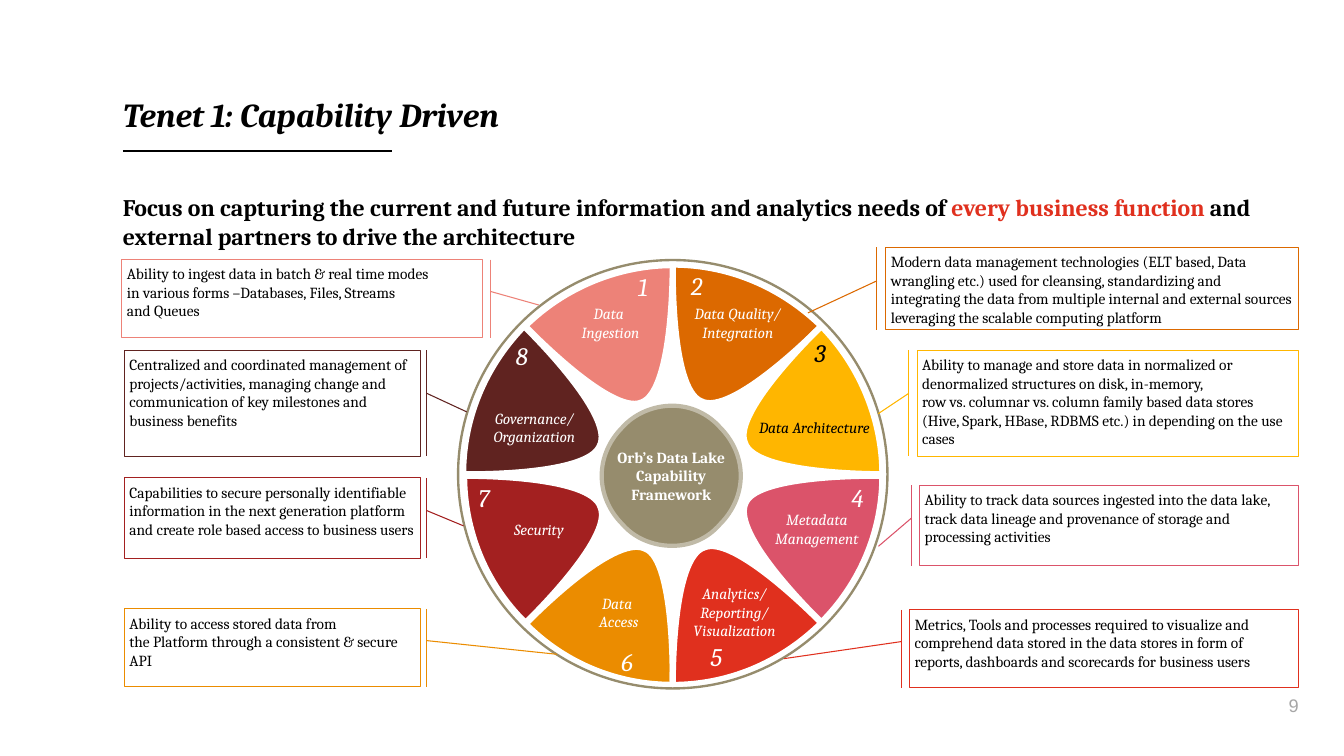
import pptx
import pptx.util
import pptx.dml.color
import pptx.enum.shapes
import pptx.enum.text
import pptx.oxml
import pptx.oxml.xmlchemy

Inches = pptx.util.Inches
Pt = pptx.util.Pt
SHAPE = pptx.enum.shapes.MSO_SHAPE
ALIGN = pptx.enum.text.PP_ALIGN
ANCHOR = pptx.enum.text.MSO_ANCHOR
NO_EFFECT = ('<a:effectLst xmlns:a='
             '"http://schemas.openxmlformats.org/drawingml/2006/main"/>')


def rgb(value):
    return pptx.dml.color.RGBColor.from_string(value)


def write(sp, text, size=22, color="000000", font="Cambria", bold=False,
          italic=False, align=ALIGN.LEFT, anchor=ANCHOR.TOP,
          insets=(0, 0, 0, 0), wrap=True, after=0):
    """Fill a shape with text: a string, or a list of (string, colour)."""
    tf = sp.text_frame
    tf.word_wrap = wrap
    tf.vertical_anchor = anchor
    tf.margin_left, tf.margin_top, tf.margin_right, tf.margin_bottom = map(Inches, insets)
    p = tf.paragraphs[0]
    p.alignment = align
    p.space_after = Pt(after)
    for part, part_color in ([(text, color)] if isinstance(text, str) else text):
        for i, row in enumerate(part.split("\n")):
            if i:
                p.add_line_break()
            r = p.add_run()
            r.text = row
            r.font.name, r.font.size = font, Pt(size)
            r.font.bold, r.font.italic = bold, italic
            r.font.color.rgb = rgb(part_color)


class Deck:
    def __init__(self, width, height):
        self.prs = pptx.Presentation()
        self.prs.slide_width, self.prs.slide_height = Inches(width), Inches(height)
        self.s = self.prs.slides.add_slide(self.prs.slide_layouts[6])

    def paint(self, sp, fill, line, weight):
        sp.shadow.inherit = False
        if fill:
            sp.fill.solid()
            sp.fill.fore_color.rgb = rgb(fill)
        else:
            sp.fill.background()
        sp.line.color.rgb = rgb(line)
        sp.line.width = Pt(weight)
        return sp

    def text(self, box, text, **style):
        write(self.s.shapes.add_textbox(*map(Inches, box)), text, **style)

    def shape(self, kind, box, fill, line, weight):
        sp = self.s.shapes.add_shape(kind, *map(Inches, box))
        return self.paint(sp, fill, line, weight)

    def curve(self, points, fill, line, weight):
        """Closed outline of cubic curves: a start, then three points per curve."""
        pts = [(Inches(x), Inches(y)) for x, y in points]
        builder = self.s.shapes.build_freeform(*pts[0])
        builder.add_line_segments(pts[1:], close=True)
        sp = builder.convert_to_shape()
        segments = sp._element.xpath(".//a:lnTo")
        for n in range(0, len(segments), 3):
            cubic = pptx.oxml.xmlchemy.OxmlElement("a:cubicBezTo")
            segments[n].addprevious(cubic)
            for segment in segments[n:n + 3]:
                cubic.append(segment[0])
                segment.getparent().remove(segment)
        return self.paint(sp, fill, line, weight)

    def callout(self, box, color, tip_y, tip_x, text, flip):
        sp = self.shape(SHAPE.LINE_CALLOUT_1_BORDER_AND_ACCENT_BAR, box, "FFFFFF", color, 1.5)
        for i, value in enumerate((0.407, -0.022, tip_y, tip_x)):
            sp.adjustments[i] = value
        if flip:
            sp._element.spPr.xfrm.set("flipH", "1")
        write(sp, text, insets=(0.1, 0.1, 0.1, 0.05))

    def line(self, x1, y1, x2, y2, color, weight):
        c = self.s.shapes.add_connector(pptx.enum.shapes.MSO_CONNECTOR.STRAIGHT,
                                        *map(Inches, (x1, y1, x2, y2)))
        c.line.color.rgb = rgb(color)
        c.line.width = Pt(weight)
        c._element.spPr.append(pptx.oxml.parse_xml(NO_EFFECT))


HUB = [(14.29, 8.48), (14.05, 8.21), (13.71, 8.05), (13.34, 8.05),
       (12.96, 8.05), (12.59, 8.21), (12.35, 8.48), (12.1, 8.73), (11.94, 9.07), (11.94, 9.44),
       (11.94, 9.81), (12.1, 10.15), (12.35, 10.4), (12.59, 10.68), (12.96, 10.83), (13.34, 10.83),
       (13.71, 10.83), (14.05, 10.68), (14.29, 10.4), (14.54, 10.15), (14.7, 9.81), (14.7, 9.44),
       (14.7, 9.07), (14.54, 8.73), (14.29, 8.48)]

# colour, then start (also first control point), and the rest of three curves
PETALS = [
    ("DC6900", (13.35, 5.25), (13.3, 7.71), (13.91, 7.96), (14.52, 8.29), (16.3, 6.47),
     (16.3, 6.47), (15.53, 5.72), (14.5, 5.25)),
    ("ED8278", (10.42, 6.47), (12.11, 8.24), (12.72, 7.99), (13.37, 7.78), (13.35, 5.26),
     (13.35, 5.26), (12.3, 5.26), (11.22, 5.68)),
    ("602320", (9.19, 9.41), (11.64, 9.46), (11.9, 8.85), (12.23, 8.24), (10.4, 6.47),
     (10.4, 6.47), (9.65, 7.24), (9.19, 8.27)),
    ("A32020", (10.43, 12.36), (12.18, 10.68), (11.92, 10.07), (11.74, 9.41), (9.21, 9.44),
     (9.21, 9.44), (9.21, 10.49), (9.61, 11.56)),
    ("EB8C00", (13.35, 13.59), (13.4, 11.12), (12.81, 10.89), (12.18, 10.56), (10.43, 12.38),
     (10.43, 12.38), (11.17, 13.13), (12.2, 13.59)),
    ("E0301E", (16.3, 12.36), (14.59, 10.6), (13.98, 10.86), (13.32, 11.05), (13.35, 13.59),
     (13.35, 13.59), (14.43, 13.59), (15.48, 13.17)),
    ("DB536A", (17.51, 9.44), (15.06, 9.39), (14.8, 9.97), (14.47, 10.6), (16.3, 12.35),
     (16.3, 12.35), (17.04, 11.61), (17.51, 10.58)),
    ("FFB600", (16.3, 6.47), (14.52, 8.17), (14.78, 8.78), (14.96, 9.43), (17.51, 9.41),
     (17.51, 9.41), (17.51, 8.36), (17.09, 7.28)),
]

# label, label box, left and top of the number
LABELS = [
    ("Data \nIngestion", (10.93, 6.04, 2.37, 0.74), 12.37, 5.29),
    ("Data Quality/\nIntegration", (13.35, 6.04, 2.58, 0.74), 13.44, 5.27),
    ("Data Architecture", (15.01, 8.11, 2.3, 0.74), 15.89, 6.61),
    ("Metadata Management", (15.21, 10.12, 2, 0.74), 16.63, 9.48),
    ("Analytics/\nReporting/\nVisualization", (13.45, 11.59, 2.25, 1.11), 13.83, 12.64),
    ("Data \nAccess", (11.18, 11.78, 2.2, 0.74), 12.06, 12.73),
    ("Security", (9.82, 10.32, 1.75, 0.37), 9.22, 9.48),
    ("Governance/ Organization", (9.52, 8.11, 2.17, 0.74), 9.97, 6.67),
]

# box, colour, pointer tip (y, x), text
CALLOUTS = [
    ((17.58, 4.91, 8.19, 1.63), "DC6900", 0.797, -0.189,
     "Modern data management technologies (ELT based, Data wrangling etc.) used for cleansing, "
     "standardizing and integrating the data from multiple internal and external sources "
     "leveraging the scalable computing platform"),
    ((18.2, 6.95, 7.57, 2.1), "FFB600", 0.599, -0.102,
     "Ability to manage and store data in normalized or denormalized structures on disk, "
     "in-memory, \nrow vs. columnar vs. column family based data stores (Hive, Spark, HBase, "
     "RDBMS etc.) in depending on the use cases"),
    ((18.25, 9.63, 7.51, 1.6), "DB536A", 0.756, -0.109,
     "Ability to track data sources ingested into the data lake, track data lineage and "
     "provenance of storage and processing activities"),
    ((18.05, 12.1, 7.72, 1.55), "E0301E", 0.625, -0.323,
     "Metrics, Tools and processes required to visualize and comprehend data stored in the "
     "data stores in form of reports, dashboards and scorecards for business users"),
    ((2.42, 5.15, 7.15, 1.55), "ED8278", 0.582, -0.157,
     "Ability to ingest data in batch & real time modes \nin various forms –Databases, Files, "
     "Streams \nand Queues"),
    ((2.47, 6.95, 5.87, 2.1), "602320", 0.582, -0.157,
     "Centralized and coordinated management of projects/activities, managing change and "
     "communication of key milestones and business benefits"),
    ((2.47, 9.48, 5.87, 1.6), "A32020", 0.596, -0.146,
     "Capabilities to secure personally identifiable information in the next generation "
     "platform and create role based access to business users"),
    ((2.47, 12.08, 5.87, 1.55), "EB8C00", 0.582, -0.462,
     "Ability to access stored data from \nthe Platform through a consistent & secure API"),
]


def main():
    d = Deck(26.67, 15)

    # Page number, title and lead sentence
    d.text((25.32, 13.78, 0.45, 0.44), "9", size=26, font="Arial", color="A6A6A6",
           align=ALIGN.RIGHT, wrap=False)
    d.text((2.44, 1.85, 23.33, 0.81), "Tenet 1: Capability Driven", size=48, bold=True,
           italic=True, anchor=ANCHOR.BOTTOM)
    d.text((2.44, 3.83, 23.33, 1.14), [
        ("Focus on capturing the current and future information and analytics needs of ", "000000"),
        ("every business function", "E0301E"),
        (" and external partners to drive the architecture", "000000")],
        size=34, bold=True, after=6)

    # Wheel: hub, petals and ring
    hub = d.curve(HUB, "968C6D", "C0BAA7", 6)
    write(hub, "Orb’s Data Lake\nCapability\nFramework", color="FFFFFF", bold=True,
          align=ALIGN.CENTER, anchor=ANCHOR.MIDDLE, insets=(0.05, 0.03, 0.05, 0.03))
    for color, start, *rest in PETALS:
        d.curve([start, start, *rest, start], color, "FFFFFF", 8.88)
    d.shape(SHAPE.OVAL, (9.09, 5.16, 8.52, 8.5), None, "968C6D", 3.38)

    # Petal names and numbers
    for number, (label, box, x, y) in enumerate(LABELS, 1):
        style = dict(color="000000" if number == 3 else "FFFFFF", italic=True,
                     align=ALIGN.CENTER, anchor=ANCHOR.MIDDLE)
        d.text(box, label, **style)
        d.text((x, y, 0.77, 0.77), str(number), size=36, insets=(0.1, 0.05, 0.1, 0.05), **style)

    # Callouts: those left of the wheel are mirrored
    for box, color, tip_y, tip_x, text in CALLOUTS:
        d.callout(box, color, tip_y, tip_x, text, flip=box[0] < 10)

    # Rule under the title
    d.line(2.44, 3, 7.77, 3, "000000", 2.75)
    d.prs.save("out.pptx")


if __name__ == "__main__":
    main()
